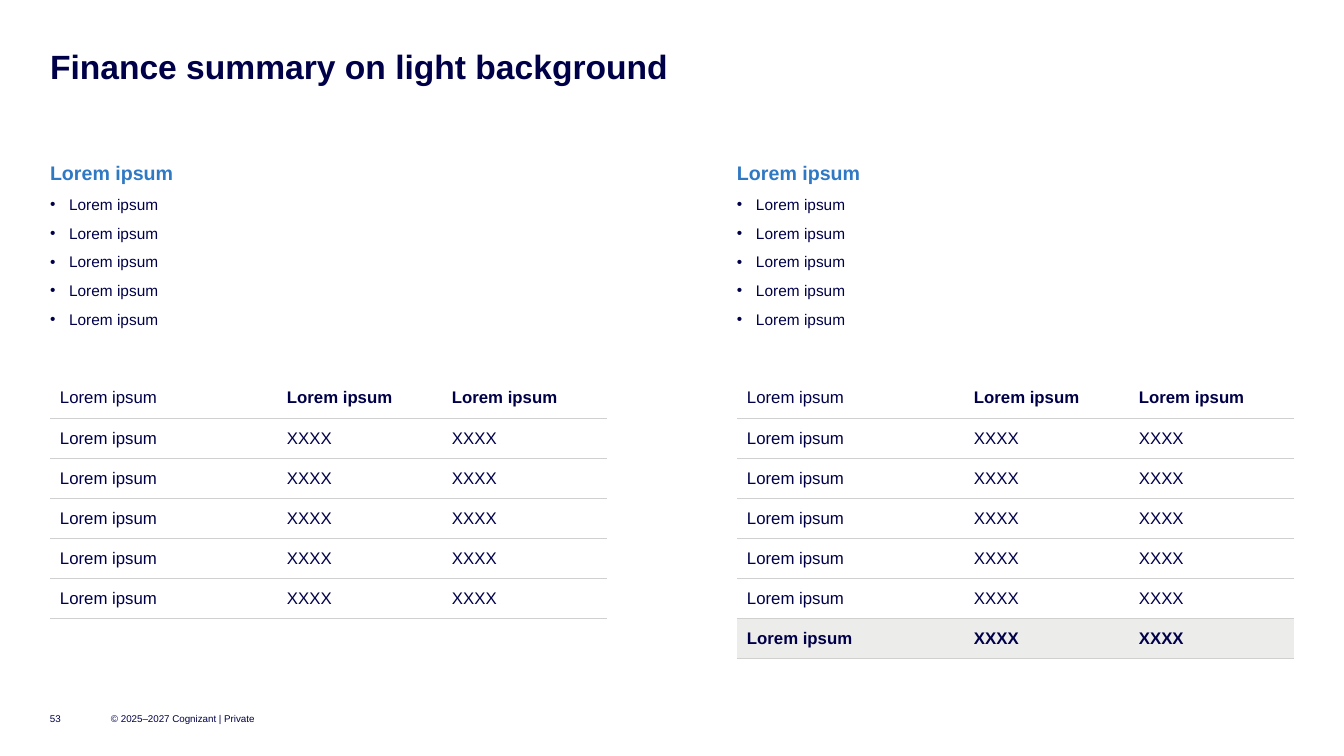
from lxml import etree
from pptx import Presentation
from pptx.dml.color import RGBColor
from pptx.enum.text import MSO_ANCHOR, MSO_AUTO_SIZE, PP_ALIGN
from pptx.oxml.ns import qn
from pptx.util import Pt

TOP = MSO_ANCHOR.TOP
MIDDLE = MSO_ANCHOR.MIDDLE
LEFT = PP_ALIGN.LEFT
FIT_SHAPE = MSO_AUTO_SIZE.SHAPE_TO_FIT_TEXT
FIXED = MSO_AUTO_SIZE.NONE

TITLE = "Finance summary on light background"
HEADING = "Lorem ipsum"
BULLETS = ["Lorem ipsum"] * 5
HEADER_ROW = ["Lorem ipsum"] * 3
VALUE_ROW = ["Lorem ipsum", "XXXX", "XXXX"]
PANELS = [
    {"left": 50, "rows": [HEADER_ROW] + [VALUE_ROW] * 5, "total": False},
    {"left": 737, "rows": [HEADER_ROW] + [VALUE_ROW] * 6, "total": True},
]
FOOTERS = [
    ("53", (50, 706, 40, 25)),
    ("© 2025–2027 Cognizant | Private", (111, 706, 151, 25)),
]

FONT = "Arial"
NAVY = "000048"
BLUE = "2F78C4"
RULE = "D0D0CE"
BAND = "ECECEB"
PLAIN_TABLE = "{2D5ABB26-0587-4C30-8999-92F81FD0307C}"
COLUMNS = [227, 165, 165]
ROW_HEIGHT = 40
CELL_MARGIN = 10
BULLET_INDENT = 19


def px(length):
    return round(length * 914400 / 100.8)


def color(value):
    return RGBColor.from_string(value)


def place(box, left, top, width, height):
    box.left, box.top = px(left), px(top)
    box.width, box.height = px(width), px(height)


def prepare_frame(box, anchor, auto_size):
    frame = box.text_frame
    frame.margin_left = frame.margin_right = 0
    frame.margin_top = frame.margin_bottom = 0
    frame.word_wrap = True
    frame.vertical_anchor = anchor
    frame.auto_size = auto_size
    return frame


def write(para, text, size, ink=NAVY, bold=False):
    para.alignment = LEFT
    span = para.add_run()
    span.text = text
    span.font.name = FONT
    span.font.size = Pt(size)
    span.font.bold = bold
    span.font.color.rgb = color(ink)


def set_bullet(para, char=None):
    properties = para._p.get_or_add_pPr()
    indent = px(BULLET_INDENT) if char else 0
    properties.set("marL", str(indent))
    properties.set("indent", str(-indent))
    bullet = etree.SubElement(properties, qn("a:buChar" if char else "a:buNone"))
    if char:
        bullet.set("char", char)


def add_rule(cell, side):
    line = etree.Element(qn(f"a:{side}"), w=str(Pt(1)))
    fill = etree.SubElement(line, qn("a:solidFill"))
    etree.SubElement(fill, qn("a:srgbClr"), val=RULE)
    cell._tc.get_or_add_tcPr().insert(0, line)


def fill_list(box, left):
    place(box, left, 159, 450, 169)
    frame = prepare_frame(box, TOP, FIT_SHAPE)
    for index, text in enumerate([HEADING] + BULLETS):
        para = frame.add_paragraph() if index else frame.paragraphs[0]
        set_bullet(para, "•" if index else None)
        para.line_spacing = 1.1
        para.space_before = Pt(6 if index else 0)
        if index:
            write(para, text, 11)
        else:
            write(para, text, 14, BLUE, True)


def add_finance_table(page, left, rows, total):
    frame = page.shapes.add_table(
        len(rows), len(COLUMNS), px(left), px(378),
        px(sum(COLUMNS)), px(ROW_HEIGHT * len(rows)))
    table = frame.table
    table.first_row = False
    table.horz_banding = False
    table._tbl.tblPr.find(qn("a:tableStyleId")).text = PLAIN_TABLE
    for column, width in zip(table.columns, COLUMNS):
        column.width = px(width)
    for row_index, texts in enumerate(rows):
        is_total = total and row_index == len(rows) - 1
        table.rows[row_index].height = px(ROW_HEIGHT)
        for column_index, text in enumerate(texts):
            cell = table.cell(row_index, column_index)
            cell.margin_left = cell.margin_right = px(CELL_MARGIN)
            cell.margin_top = cell.margin_bottom = px(CELL_MARGIN)
            cell.vertical_anchor = MIDDLE
            if is_total:
                cell.fill.solid()
                cell.fill.fore_color.rgb = color(BAND)
            else:
                cell.fill.background()
            add_rule(cell, "lnB")
            if row_index:
                add_rule(cell, "lnT")
            bold = is_total or (row_index == 0 and column_index > 0)
            write(cell.text_frame.paragraphs[0], text, 12, bold=bold)


def main():
    deck = Presentation()
    deck.slide_width, deck.slide_height = px(1344), px(756)
    page = deck.slides.add_slide(deck.slide_layouts[3])

    title = page.shapes.title
    place(title, 50, 50, 1243, 36)
    para = prepare_frame(title, TOP, FIT_SHAPE).paragraphs[0]
    para.line_spacing = 0.9
    write(para, TITLE, 24, bold=True)

    for number, panel in enumerate(PANELS, 1):
        fill_list(page.placeholders[number], panel["left"])
        add_finance_table(page, **panel)

    for text, area in FOOTERS:
        box = page.shapes.add_textbox(*map(px, area))
        write(prepare_frame(box, MIDDLE, FIXED).paragraphs[0], text, 7)

    deck.save("out.pptx")


if __name__ == "__main__":
    main()
